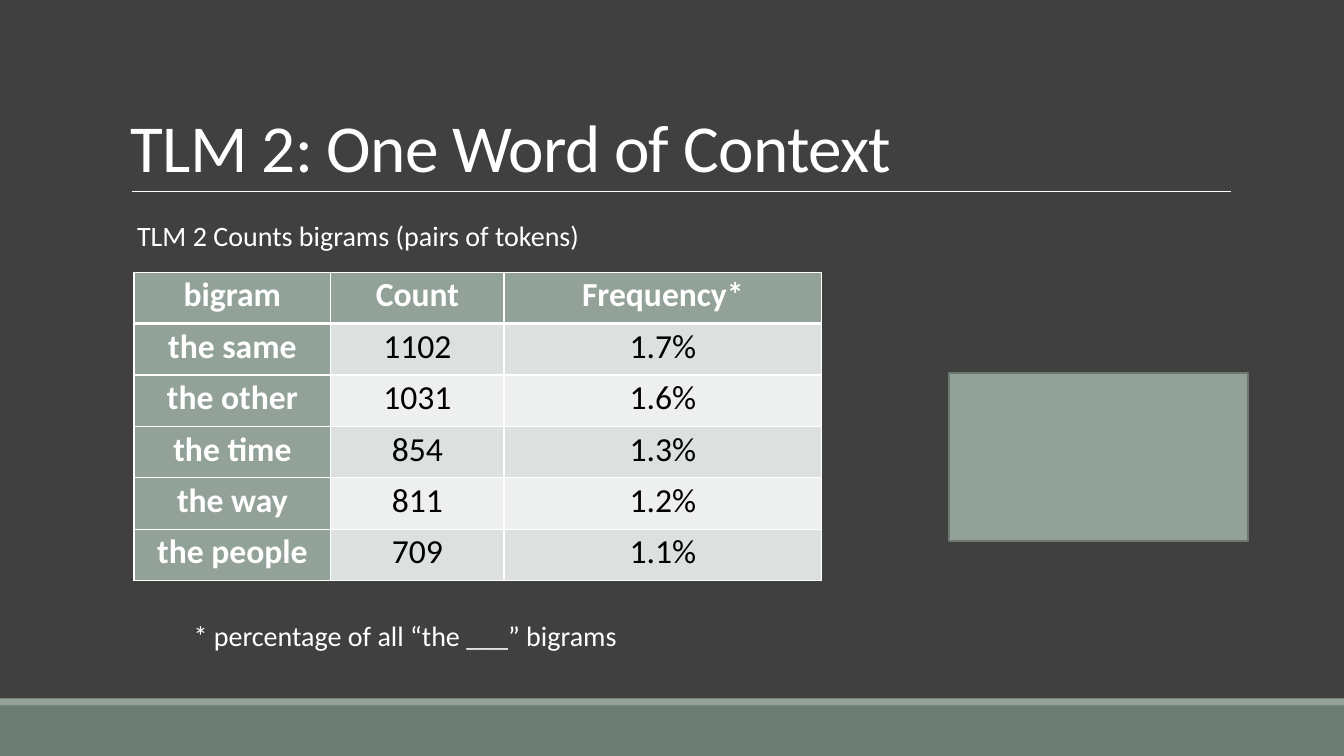
import pptx
import pptx.dml.color
import pptx.enum.shapes
import pptx.enum.text
import pptx.oxml.ns
import pptx.util
from lxml import etree

Inches = pptx.util.Inches
Pt = pptx.util.Pt
RGBColor = pptx.dml.color.RGBColor
Anchor = pptx.enum.text.MSO_ANCHOR
qn = pptx.oxml.ns.qn

CHARCOAL = RGBColor(0x40, 0x40, 0x40)
DARK_SAGE = RGBColor(0x6B, 0x7D, 0x72)
SAGE = RGBColor(0x93, 0xA2, 0x99)
SAGE_EDGE = RGBColor(0x6D, 0x78, 0x71)
BAND_DARK = RGBColor(0xDC, 0xE0, 0xDE)
BAND_LIGHT = RGBColor(0xEE, 0xF0, 0xEF)
WHITE = RGBColor(0xFF, 0xFF, 0xFF)
BLACK = RGBColor(0, 0, 0)

BIGRAMS = [
    ("bigram", "Count", "Frequency*"),
    ("the same", "1102", "1.7%"),
    ("the other", "1031", "1.6%"),
    ("the time", "854", "1.3%"),
    ("the way", "811", "1.2%"),
    ("the people", "709", "1.1%"),
]
COLUMN_WIDTHS = (1.95, 1.72, 3.15)
ROW_HEIGHT = 0.51


class SlideBuilder:
    font_name = "Calibri"

    def __init__(self, slide):
        self.slide = slide
        slide.background.fill.solid()
        slide.background.fill.fore_color.rgb = CHARCOAL

    def style(self, paragraph, size, color, bold=False):
        paragraph.font.name = self.font_name
        paragraph.font.size = Pt(size)
        paragraph.font.color.rgb = color
        paragraph.font.bold = bold

    def rectangle(self, left, top, width, height, fill, edge=None):
        block = self.slide.shapes.add_shape(
            pptx.enum.shapes.MSO_SHAPE.RECTANGLE,
            Inches(left), Inches(top), Inches(width), Inches(height))
        block.shadow.inherit = False
        block.fill.solid()
        block.fill.fore_color.rgb = fill
        if edge is None:
            block.line.fill.background()
        else:
            block.line.color.rgb = edge
            block.line.width = Pt(1.25)

    def rule(self, left, right, y):
        rule = self.slide.shapes.add_connector(
            pptx.enum.shapes.MSO_CONNECTOR.STRAIGHT,
            Inches(left), Inches(y), Inches(right), Inches(y))
        rule.line.color.rgb = WHITE
        rule.line.width = Pt(0.5)
        etree.SubElement(rule._element.spPr, qn("a:effectLst"))

    def text(self, words, left, top, width, height, size, spacing,
             inset=0, anchor=Anchor.TOP, tracking=0):
        box = self.slide.shapes.add_textbox(
            Inches(left), Inches(top), Inches(width), Inches(height))
        frame = box.text_frame
        frame.word_wrap = True
        frame.vertical_anchor = anchor
        frame.margin_left = frame.margin_right = Inches(inset)
        paragraph = frame.paragraphs[0]
        paragraph.text = words
        paragraph.line_spacing = spacing
        self.style(paragraph, size, WHITE)
        if tracking:
            run_properties = paragraph.runs[0]._r.get_or_add_rPr()
            run_properties.set("spc", str(int(tracking * 100)))

    def border(self, cell, side, width):
        edge = etree.SubElement(
            cell._tc.get_or_add_tcPr(), qn(f"a:ln{side}"), w=str(Pt(width)))
        fill = etree.SubElement(edge, qn("a:solidFill"))
        etree.SubElement(fill, qn("a:srgbClr"), val=str(WHITE))

    def cell(self, cell, words, fill, color, bold, top_line, bottom_line):
        cell.margin_left = cell.margin_right = Inches(0.07)
        cell.margin_top = cell.margin_bottom = 0
        for side, width in zip("LRTB", (1, 1, top_line, bottom_line)):
            self.border(cell, side, width)
        cell.fill.solid()
        cell.fill.fore_color.rgb = fill
        paragraph = cell.text_frame.paragraphs[0]
        paragraph.text = words
        paragraph.alignment = pptx.enum.text.PP_ALIGN.CENTER
        paragraph.line_spacing = 1.07
        self.style(paragraph, 24, color, bold)

    def table(self, rows, left, top, column_widths, row_height):
        table = self.slide.shapes.add_table(
            len(rows), len(column_widths), Inches(left), Inches(top),
            Inches(sum(column_widths)), Inches(row_height * len(rows))).table
        table.first_col = True
        for column, width in zip(table.columns, column_widths):
            column.width = Inches(width)
        for r, row in enumerate(rows):
            table.rows[r].height = Inches(row_height)
            for c, words in enumerate(row):
                heading = r == 0 or c == 0
                band = BAND_DARK if r % 2 else BAND_LIGHT
                self.cell(
                    table.cell(r, c), words,
                    fill=SAGE if heading else band,
                    color=WHITE if heading else BLACK,
                    bold=heading,
                    top_line=3 if r == 1 else 1,
                    bottom_line=3 if r == 0 else 1)


def main():
    presentation = pptx.Presentation()
    presentation.slide_width = Inches(13.33)
    presentation.slide_height = Inches(7.5)
    builder = SlideBuilder(
        presentation.slides.add_slide(presentation.slide_layouts[6]))
    builder.rectangle(0, 7, 13.33, 0.5, DARK_SAGE)
    builder.rectangle(0, 6.93, 13.33, 0.07, SAGE)
    builder.rule(1.31, 12.21, 1.9)
    builder.text("TLM 2: One Word of Context", 1.2, 0.31, 11, 1.59, 48, 0.85,
                 inset=0.1, anchor=Anchor.BOTTOM, tracking=-0.5)
    builder.text("TLM 2 Counts bigrams (pairs of tokens)",
                 1.36, 2.16, 11, 0.42, 20, 0.9)
    builder.text("* percentage of all “the ___” bigrams",
                 1.92, 6.12, 10.5, 0.42, 20, 0.9)
    builder.table(BIGRAMS, 1.33, 2.7, COLUMN_WIDTHS, ROW_HEIGHT)
    builder.rectangle(9.41, 3.7, 2.97, 1.67, SAGE, edge=SAGE_EDGE)
    presentation.save("out.pptx")


if __name__ == "__main__":
    main()
